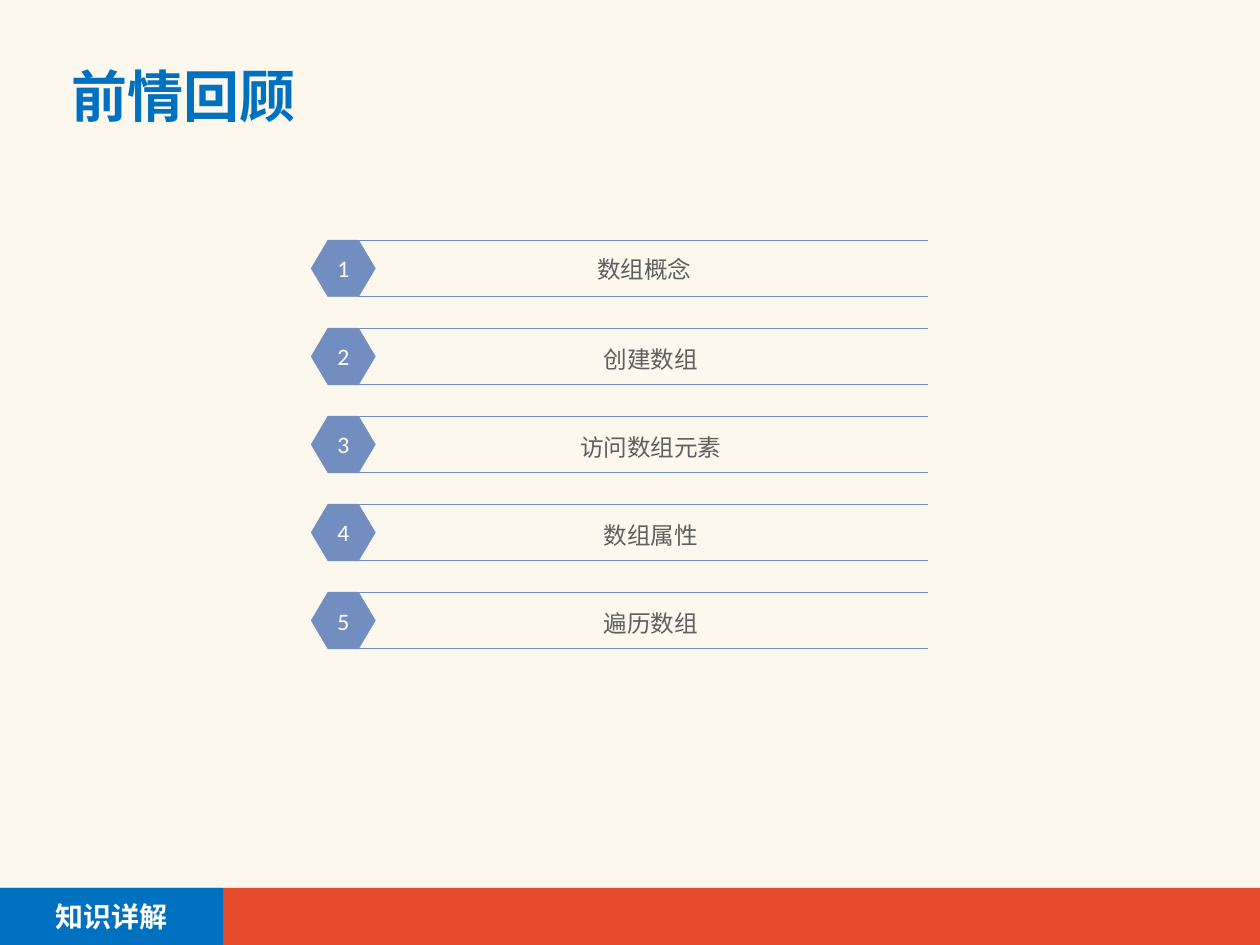
from dataclasses import dataclass

from lxml.etree import SubElement
from pptx import Presentation
from pptx.dml.color import RGBColor
from pptx.enum.shapes import MSO_CONNECTOR, MSO_SHAPE
from pptx.enum.text import MSO_ANCHOR, PP_ALIGN
from pptx.oxml.ns import qn
from pptx.shapes.autoshape import Shape
from pptx.slide import Slide
from pptx.util import Pt

CREAM = RGBColor(0xFC, 0xF8, 0xED)
RED = RGBColor(0xE7, 0x4C, 0x2E)
BLUE = RGBColor(0x00, 0x70, 0xC0)
SLATE = RGBColor(0x72, 0x8E, 0xC0)
GREY = RGBColor(0x5F, 0x5F, 0x5F)
WHITE = RGBColor(0xFF, 0xFF, 0xFF)

CJK_FONT = "Noto Sans CJK SC"
LATIN_FONT = "Calibri"

SLIDE_WIDTH, SLIDE_HEIGHT = 720, 540
FOOTER_TOP = 507.4
FIRST_ROW_TOP, ROW_PITCH, ROW_HEIGHT = 137.2, 50.3, 32.4
BADGE_LEFT, BADGE_WIDTH = 177.8, 36.7
RULE_LEFT, RULE_RIGHT = 204.5, 530.4
TOPIC_WIDTH, TOPIC_HEIGHT = 317.5, 33


@dataclass(frozen=True)
class Topic:
    label: str
    left: float = 212.4
    drop: float = 1.2


TOPICS = [
    Topic("数组概念", left=208.8, drop=0),
    Topic("创建数组"),
    Topic("访问数组元素"),
    Topic("数组属性"),
    Topic("遍历数组"),
]


def write(shape: Shape, text: str, size: float, color: RGBColor, latin: str,
          bold: bool = False, align: PP_ALIGN = PP_ALIGN.CENTER,
          anchor: MSO_ANCHOR = MSO_ANCHOR.MIDDLE, spacing: float = 1.0) -> None:
    frame = shape.text_frame
    frame.text = text
    frame.word_wrap = True
    frame.vertical_anchor = anchor
    paragraph = frame.paragraphs[0]
    paragraph.alignment = align
    paragraph.line_spacing = spacing
    font = paragraph.runs[0].font
    font.name, font.size, font.bold = latin, Pt(size), bold
    font.color.rgb = color
    SubElement(font._element, qn("a:ea"), typeface=CJK_FONT)


def add_block(slide: Slide, kind: MSO_SHAPE, left: float, top: float,
              width: float, height: float, fill: RGBColor) -> Shape:
    block = slide.shapes.add_shape(kind, Pt(left), Pt(top), Pt(width), Pt(height))
    block.shadow.inherit = False
    block.fill.solid()
    block.fill.fore_color.rgb = fill
    block.line.fill.background()
    return block


def add_rule(slide: Slide, top: float) -> None:
    rule = slide.shapes.add_connector(
        MSO_CONNECTOR.STRAIGHT, Pt(RULE_LEFT), Pt(top), Pt(RULE_RIGHT), Pt(top))
    rule.line.color.rgb = SLATE
    rule.line.width = Pt(0.5)
    SubElement(rule._element.spPr, qn("a:effectLst"))


def add_topic(slide: Slide, number: int, topic: Topic) -> None:
    top = FIRST_ROW_TOP + (number - 1) * ROW_PITCH
    badge = add_block(slide, MSO_SHAPE.HEXAGON, BADGE_LEFT, top,
                      BADGE_WIDTH, ROW_HEIGHT, SLATE)
    badge.adjustments[0] = 0.297
    badge.line.color.rgb = SLATE
    badge.line.width = Pt(0.25)
    write(badge, str(number), 13.5, WHITE, LATIN_FONT)

    add_rule(slide, top)
    add_rule(slide, top + ROW_HEIGHT)

    caption = slide.shapes.add_textbox(
        Pt(topic.left), Pt(top + topic.drop), Pt(TOPIC_WIDTH), Pt(TOPIC_HEIGHT))
    caption.text_frame.margin_left = Pt(8.5)
    write(caption, topic.label, 13.5, GREY, LATIN_FONT,
          anchor=MSO_ANCHOR.TOP, spacing=1.3)


def add_footer(slide: Slide) -> None:
    height = SLIDE_HEIGHT - FOOTER_TOP
    add_block(slide, MSO_SHAPE.RECTANGLE, 0, FOOTER_TOP, SLIDE_WIDTH, height, RED)
    section = add_block(slide, MSO_SHAPE.RECTANGLE, 0, FOOTER_TOP, 127.6, height, BLUE)
    write(section, "知识详解", 16, WHITE, CJK_FONT, bold=True)


def set_title(slide: Slide, text: str) -> None:
    title = slide.shapes.title
    title.left, title.top = Pt(33.8), Pt(26.6)
    title.width, title.height = Pt(653), Pt(51.1)
    write(title, text, 32, BLUE, CJK_FONT, bold=True, align=PP_ALIGN.LEFT,
          anchor=MSO_ANCHOR.BOTTOM, spacing=0.9)


def main() -> None:
    presentation = Presentation()
    presentation.slide_width = Pt(SLIDE_WIDTH)
    presentation.slide_height = Pt(SLIDE_HEIGHT)
    slide = presentation.slides.add_slide(presentation.slide_layouts[5])
    slide.background.fill.solid()
    slide.background.fill.fore_color.rgb = CREAM
    add_footer(slide)
    set_title(slide, "前情回顾")
    for number, topic in enumerate(TOPICS, start=1):
        add_topic(slide, number, topic)
    presentation.save("out.pptx")


if __name__ == "__main__":
    main()
